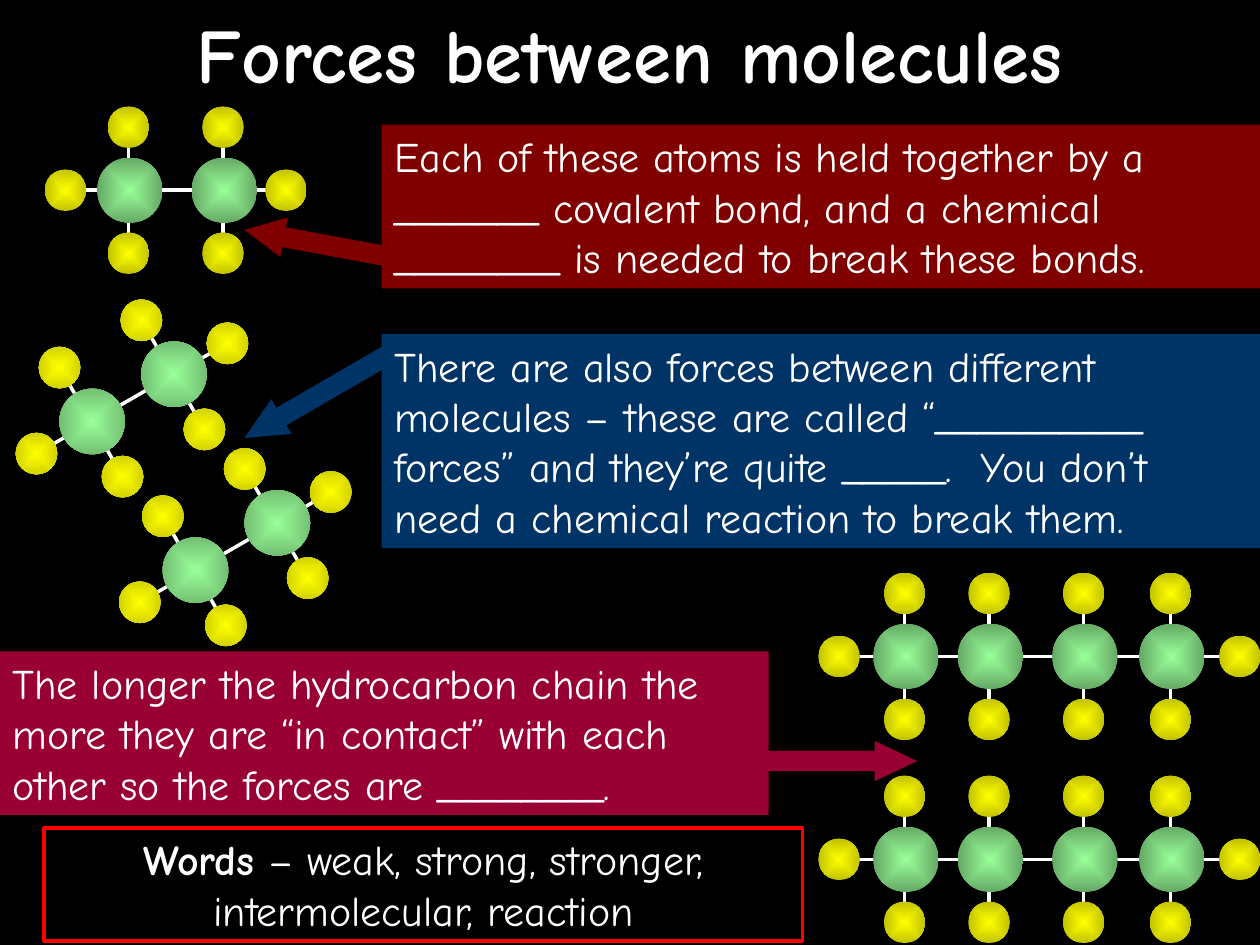
import math
from dataclasses import dataclass

import pptx
import pptx.dml.color
import pptx.enum.shapes
import pptx.enum.text
import pptx.oxml
import pptx.oxml.ns
import pptx.util

EMU_PER_PX = 9144
FONT = "Comic Neue"
WHITE = "FFFFFF"
CARBON_SIZE, HYDROGEN_SIZE, BOND = 52, 33, 50
CARBON_SHIFT = 1
CARBON_COLORS = ("99FF99", "65A865")
HYDROGEN_COLORS = ("FFFF00", "C2C200")
SHAPE = pptx.enum.shapes.MSO_SHAPE
ALIGN = pptx.enum.text.PP_ALIGN


@dataclass
class Molecule:
    x: int
    y: int
    carbons: tuple[int, ...]
    length: int
    angle: int = 0


@dataclass
class Box:
    x: int
    y: int
    w: int
    h: int


@dataclass
class Callout:
    text: str
    color: str
    box: Box
    arrow: Box
    rotation: float
    head: float


ETHANE = (50, 125)
BUTANE = (52, 119, 194, 263)
MOLECULES = [
    Molecule(52, 151, ETHANE, 175),
    Molecule(666, 521, BUTANE, 318),
    Molecule(29, 360, ETHANE, 175, -30),
    Molecule(111, 478, ETHANE, 175, -30),
    Molecule(666, 682, BUTANE, 318),
]
CALLOUTS = [
    Callout("Each of these atoms is held together by a _______ covalent bond, "
            "and a chemical ________ is needed to break these bonds.",
            "800000", Box(303, 99, 697, 130), Box(193, 178, 126, 32), 10.5, 1.0),
    Callout("There are also forces between different molecules – these are called "
            "“__________ forces” and they’re quite _____.  You don’t need a "
            "chemical reaction to break them.",
            "003366", Box(303, 265, 697, 170), Box(185, 298, 134, 32), 329.9, 1.06),
    Callout("The longer the hydrocarbon chain the more they are “in contact” "
            "with each other so the forces are ________.",
            "990033", Box(0, 517, 610, 130), Box(594, 588, 134, 32), 180, 1.06),
]


def px(value: float) -> int:
    return round(value * EMU_PER_PX)


def rgb(value: str) -> pptx.dml.color.RGBColor:
    return pptx.dml.color.RGBColor.from_string(value)


def add_shape(shapes, kind, box: Box, fill: str | None = None):
    sp = shapes.add_shape(kind, px(box.x), px(box.y), px(box.w), px(box.h))
    sp.shadow.inherit = False
    sp.line.fill.background()
    if fill:
        sp.fill.solid()
        sp.fill.fore_color.rgb = rgb(fill)
    else:
        sp.fill.background()
    return sp


def set_text(sp, runs: list[tuple[str, bool]], size: int, align) -> None:
    tf = sp.text_frame
    tf.word_wrap = True
    tf.vertical_anchor = (pptx.enum.text.MSO_ANCHOR.MIDDLE if size > 24
                          else pptx.enum.text.MSO_ANCHOR.TOP)
    p = tf.paragraphs[0]
    p.alignment = align
    for text, bold in runs:
        r = p.add_run()
        r.text = text
        r.font.name = FONT
        r.font.size = pptx.util.Pt(size)
        r.font.bold = bold
        r.font.color.rgb = rgb(WHITE)


def add_atom(shapes, center: tuple[float, float], size: int,
             colors: tuple[str, str], angle: int) -> None:
    x, y = center
    sp = add_shape(shapes, SHAPE.OVAL, Box(x - size / 2, y - size / 2, size, size))
    sp.rotation = angle % 360
    sp.fill.gradient()
    for stop, color in zip(sp.fill.gradient_stops, colors):
        stop.color.rgb = rgb(color)
    grad = sp._element.spPr.find(pptx.oxml.ns.qn("a:gradFill"))
    grad.remove(grad.find(pptx.oxml.ns.qn("a:lin")))
    grad.append(pptx.oxml.parse_xml(
        f'<a:path {pptx.oxml.ns.nsdecls("a")} path="rect">'
        '<a:fillToRect l="50000" t="50000" r="50000" b="50000"/></a:path>'))


def add_bond(shapes, start: tuple[float, float], end: tuple[float, float]) -> None:
    line = shapes.add_connector(pptx.enum.shapes.MSO_CONNECTOR.STRAIGHT,
                                *map(px, start + end))
    line.line.color.rgb = rgb(WHITE)
    line.line.width = pptx.util.Pt(2)
    line._element.spPr.append(
        pptx.oxml.parse_xml(f'<a:effectLst {pptx.oxml.ns.nsdecls("a")}/>'))


def add_molecule(slide, m: Molecule) -> None:
    shapes = slide.shapes.add_group_shape().shapes
    cos, sin = math.cos(math.radians(m.angle)), math.sin(math.radians(m.angle))

    def at(along: float, across: float) -> tuple[float, float]:
        return m.x + along * cos - across * sin, m.y + along * sin + across * cos

    for c in m.carbons:
        add_bond(shapes, at(c, -BOND), at(c, BOND))
    add_bond(shapes, at(0, 0), at(m.length, 0))
    for c in m.carbons:
        add_atom(shapes, at(c + CARBON_SHIFT, 0), CARBON_SIZE, CARBON_COLORS, m.angle)
    hydrogens = [(0, 0), (m.length, 0)]
    hydrogens += [(c, side) for c in m.carbons for side in (-BOND, BOND)]
    for along, across in hydrogens:
        add_atom(shapes, at(along, across), HYDROGEN_SIZE, HYDROGEN_COLORS, m.angle)


def add_callout(slide, c: Callout) -> None:
    shapes = slide.shapes.add_group_shape().shapes
    sp = add_shape(shapes, SHAPE.RECTANGLE, c.box, c.color)
    set_text(sp, [(c.text, False)], 24, ALIGN.LEFT)
    arrow = add_shape(shapes, SHAPE.LEFT_ARROW, c.arrow, c.color)
    arrow.adjustments[0] = 0.5
    arrow.adjustments[1] = c.head
    arrow.rotation = c.rotation


def main() -> None:
    prs = pptx.Presentation()
    prs.slide_width, prs.slide_height = px(1000), px(750)
    s = prs.slides.add_slide(prs.slide_layouts[6])
    s.background.fill.solid()
    s.background.fill.fore_color.rgb = rgb("000000")

    title = s.shapes.add_textbox(0, 0, px(1000), px(84))
    set_text(title, [("Forces between molecules", True)], 44, ALIGN.CENTER)
    for m in MOLECULES:
        add_molecule(s, m)

    words = add_shape(s.shapes, SHAPE.RECTANGLE, Box(35, 657, 602, 90))
    words.line.color.rgb = rgb("FF0000")
    words.line.width = pptx.util.Pt(2)
    set_text(words, [("Words", True),
                     (" – weak, strong, stronger, intermolecular, reaction", False)],
             24, ALIGN.CENTER)
    for c in CALLOUTS:
        add_callout(s, c)
    prs.save("out.pptx")


if __name__ == "__main__":
    main()
